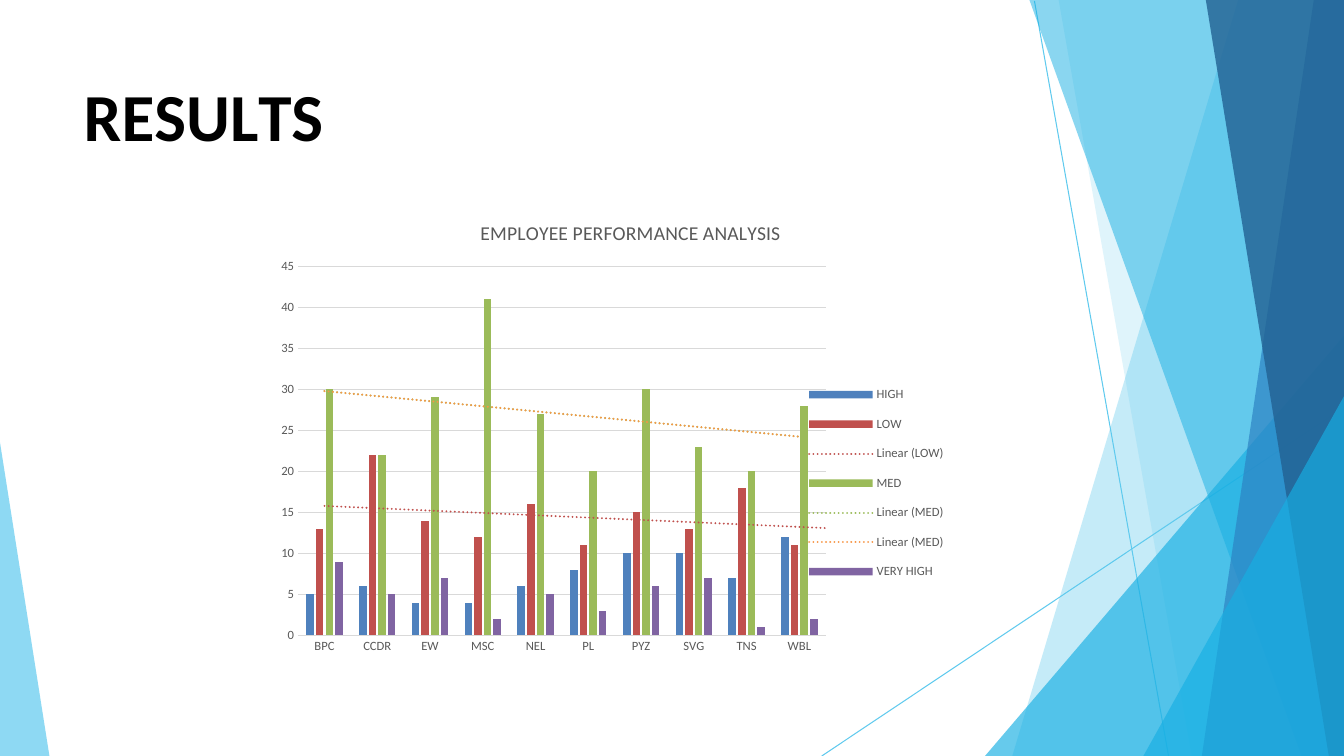
"""Build the results slide with its employee performance chart."""
import pptx
import pptx.util
import pptx.chart.data
import pptx.dml.color
import pptx.enum.chart
import pptx.enum.shapes
import pptx.enum.text
import pptx.oxml
import pptx.oxml.ns

Inches, Pt = pptx.util.Inches, pptx.util.Pt
WIDE, HIGH = 13.33, 7.5
FONT = "Calibri"
HEX = {
    "sky": "5FCAEE", "cyan": "17AFE3", "blue": "2D83C3", "navy": "226192",
    "black": "000000", "text": "595959", "grid": "D9D9D9",
    "high": "4F81BD", "low": "C0504D", "med": "9BBB59", "very": "8064A2",
    "gold": "F79646",
}
LINES = [((10.26, 0.01), (11.59, HIGH)), ((WIDE, 4.04), (8.15, HIGH))]
# Each band: side edge, upper point, foot, colour, opacity
BANDS = [
    (WIDE, (12.28, 0), 10.04, "sky", 36),
    (WIDE, (10.5, 0), 11.82, "sky", 20),
    (WIDE, (WIDE, 3.33), 9.77, "cyan", 66),
    (WIDE, (10.21, 0), 12.91, "cyan", 50),
    (WIDE, (13.03, 0), 11.92, "blue", 70),
    (WIDE, (11.96, 0), 13.18, "navy", 80),
    (WIDE, (WIDE, 3.93), 11.34, "cyan", 66),
    (0, (0, 4.39), 0.49, "sky", 70),
]
TITLE = [("R", 0), ("E", -40), ("S", 10), ("U", -30), ("L", -400), ("TS", 0)]
HEAD = "EMPLOYEE PERFORMANCE ANALYSIS"
CATS = ["BPC", "CCDR", "EW", "MSC", "NEL", "PL", "PYZ", "SVG", "TNS", "WBL"]
DATA = [
    ("HIGH", [5, 6, 4, 4, 6, 8, 10, 10, 7, 12], "high", []),
    ("LOW", [13, 22, 14, 12, 16, 11, 15, 13, 18, 11], "low", [("low", 0.5)]),
    ("MED", [30, 22, 29, 41, 27, 20, 30, 23, 20, 28], "med",
     [("med", 0), ("gold", 0)]),
    ("VERY HIGH", [9, 5, 7, 2, 5, 3, 6, 7, 1, 2], "very", []),
]
PLOT = (0.04, 0.14, 0.73, 0.8)
KEY = (0.74, 0.37, 0.2, 0.48)


def tint(name):
    return pptx.dml.color.RGBColor.from_string(HEX[name])


def style(font, size, name, bold=False):
    font.name, font.size, font.bold = FONT, Pt(size), bold
    font.color.rgb = tint(name)


def parse(text):
    return pptx.oxml.parse_xml(
        text.replace(">", " " + pptx.oxml.ns.nsdecls("c", "a") + ">", 1))


def add_line(slide, start, end):
    line = slide.shapes.add_connector(
        pptx.enum.shapes.MSO_CONNECTOR.STRAIGHT,
        *[Inches(num) for num in start + end])
    line.line.color.rgb = tint("sky")
    line.line.width = Pt(0.75)
    line._element.spPr.append(parse("<a:effectLst></a:effectLst>"))


def add_band(slide, edge, top, foot, name, alpha):
    form = slide.shapes.build_freeform(
        Inches(edge), Inches(top[1]), scale=1.0)
    points = [top, (foot, HIGH), (edge, HIGH)]
    form.add_line_segments([(Inches(x), Inches(y)) for x, y in points])
    band = form.convert_to_shape()
    band.shadow.inherit = False
    band.line.fill.background()
    band.fill.solid()
    band.fill.fore_color.rgb = tint(name)
    color = band._element.spPr.find(".//" + pptx.oxml.ns.qn("a:srgbClr"))
    color.append(parse(f'<a:alpha val="{alpha * 1000}"></a:alpha>'))


def add_title(slide):
    title = slide.shapes.title
    title.left, title.top = Inches(0.75), Inches(0.67)
    title.width, title.height = Inches(6.68), Inches(0.91)
    frame = title.text_frame
    frame.auto_size = pptx.enum.text.MSO_AUTO_SIZE.SHAPE_TO_FIT_TEXT
    frame.vertical_anchor = pptx.enum.text.MSO_ANCHOR.TOP
    frame.margin_left, frame.margin_top = Inches(0.08), Inches(0.07)
    frame.margin_bottom = Inches(0.03)
    para = frame.paragraphs[0]
    para.alignment = pptx.enum.text.PP_ALIGN.LEFT
    for text, space in TITLE:
        run = para.add_run()
        run.text = text
        style(run.font, 48, "black", True)
        run._r.get_or_add_rPr().set("spc", str(space))


def layout(box, inner=""):
    sides = "".join(f'<c:{key}Mode val="edge"/>' for key in "xy")
    sizes = "".join(f'<c:{key} val="{num}"/>' for key, num in zip("xywh", box))
    return parse(f"<c:layout><c:manualLayout>{inner}{sides}{sizes}"
                 "</c:manualLayout></c:layout>")


def trend(name, ahead):
    more = f'<c:forward val="{ahead}"/>' if ahead else ""
    return parse(
        '<c:trendline><c:spPr><a:ln w="19050" cap="rnd"><a:solidFill>'
        f'<a:srgbClr val="{HEX[name]}"/></a:solidFill>'
        '<a:prstDash val="sysDot"/></a:ln></c:spPr>'
        f'<c:trendlineType val="linear"/>{more}<c:dispRSqr val="0"/>'
        '<c:dispEq val="0"/></c:trendline>')


def add_chart(slide):
    enum = pptx.enum.chart
    data = pptx.chart.data.CategoryChartData()
    data.categories = CATS
    for name, nums, _, _ in DATA:
        data.add_series(name, nums)
    chart = slide.shapes.add_chart(
        enum.XL_CHART_TYPE.COLUMN_CLUSTERED, Inches(2.67), Inches(2),
        Inches(7.17), Inches(4.58), data).chart
    style(chart.font, 10, "black")
    chart.has_title = True
    run = chart.chart_title.text_frame.paragraphs[0].add_run()
    run.text = HEAD
    style(run.font, 14, "text")
    chart.chart_title.include_in_layout = False

    plot = chart.plots[0]
    plot.gap_width, plot.overlap, plot.vary_by_categories = 219, -27, False
    for bars, (_, _, name, trends) in zip(plot.series, DATA):
        bars.format.fill.solid()
        bars.format.fill.fore_color.rgb = tint(name)
        bars.invert_if_negative = False
        cat = bars._element.find(pptx.oxml.ns.qn("c:cat"))
        for item in trends:
            cat.addprevious(trend(*item))

    for axis in (chart.category_axis, chart.value_axis):
        axis.major_tick_mark = enum.XL_TICK_MARK.NONE
        axis.minor_tick_mark = enum.XL_TICK_MARK.NONE
        style(axis.tick_labels.font, 9, "text")
    value = chart.value_axis
    value.minimum_scale, value.maximum_scale, value.major_unit = 0, 45, 5
    value.format.line.fill.background()
    for line in (chart.category_axis.format.line,
                 value.major_gridlines.format.line):
        line.color.rgb = tint("grid")
        line.width = Pt(0.75)

    chart.has_legend = True
    key = chart.legend
    key.position = enum.XL_LEGEND_POSITION.RIGHT
    key.include_in_layout = False
    style(key.font, 9, "text")
    spot = key._element.find(pptx.oxml.ns.qn("c:legendPos"))
    spot.addnext(layout(KEY))
    area = chart._chartSpace.chart.plotArea
    for old in area.findall(pptx.oxml.ns.qn("c:layout")):
        area.remove(old)
    area.insert(0, layout(PLOT, '<c:layoutTarget val="inner"/>'))


def main():
    deck = pptx.Presentation()
    deck.slide_width, deck.slide_height = Inches(WIDE), Inches(HIGH)
    slide = deck.slides.add_slide(deck.slide_layouts[5])
    for ends in LINES:
        add_line(slide, *ends)
    for band in BANDS:
        add_band(slide, *band)
    add_title(slide)
    add_chart(slide)
    deck.save("out.pptx")


if __name__ == "__main__":
    main()
